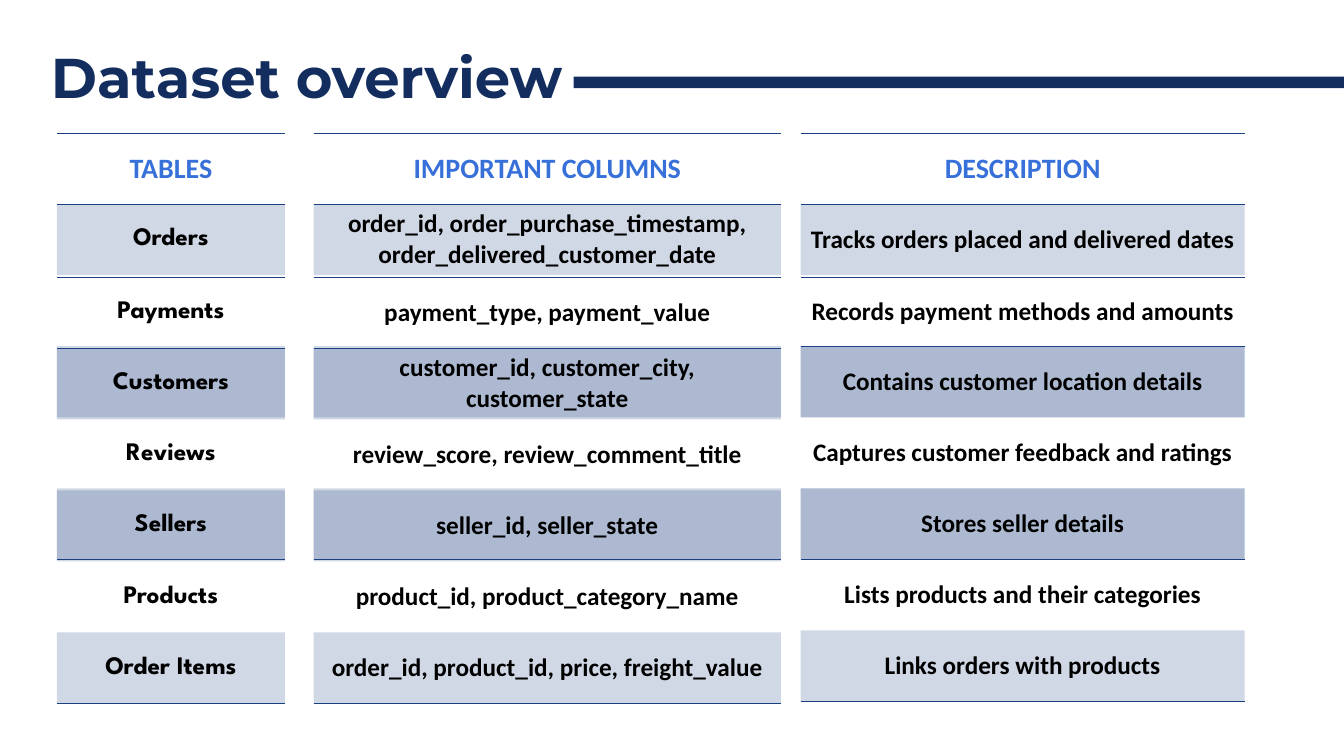
from lxml.etree import SubElement
from pptx import Presentation
from pptx.dml.color import RGBColor
from pptx.enum.shapes import MSO_SHAPE
from pptx.enum.text import MSO_ANCHOR, PP_ALIGN
from pptx.oxml.ns import qn
from pptx.util import Inches, Pt

NAVY, BLUE, RULE, BLACK = "122D5E", "3770D9", "1B4081", "000000"
NO_STYLE = "{2D5ABB26-0587-4C30-8999-92F81FD0307C}"
BAND_ALPHA = "20000"
ROWS = 6
ROW_HEIGHT = 1.41
UPPER_TOP, LOWER_TOP = 2.64, 5.5
UPPER_TEXTS = 2

headers = ("TABLES", "IMPORTANT COLUMNS", "DESCRIPTION")
records = [
    ("Orders", "order_id, order_purchase_timestamp, order_delivered_customer_date",
     "Tracks orders placed and delivered dates"),
    ("Payments", "payment_type, payment_value", "Records payment methods and amounts"),
    ("Customers", "customer_id, customer_city, customer_state", "Contains customer location details"),
    ("Reviews", "review_score, review_comment_title", "Captures customer feedback and ratings"),
    ("Sellers", "seller_id, seller_state", "Stores seller details"),
    ("Products", "product_id, product_category_name", "Lists products and their categories"),
    ("Order Items", "order_id, product_id, price, freight_value", "Links orders with products"),
]
layouts = [
    {"left": 1.13, "width": 4.52, "font": "League Spartan", "lower_first_row": ROW_HEIGHT},
    {"left": 6.22, "width": 9.27, "font": "Calibri", "lower_first_row": ROW_HEIGHT},
    {"left": 15.88, "width": 8.81, "font": "Calibri", "lower_first_row": 1.37},
]


def rgb(value):
    return RGBColor.from_string(value)


def add_border(cell, side):
    ln = SubElement(cell._tc.get_or_add_tcPr(), qn(f"a:{side}"), w=str(Pt(1)))
    fill = SubElement(ln, qn("a:solidFill"))
    SubElement(fill, qn("a:srgbClr"), val=RULE)


prs = Presentation()
prs.slide_width, prs.slide_height = Inches(26.66), Inches(15)
s = prs.slides.add_slide(prs.slide_layouts[6])

title = s.shapes.add_textbox(Inches(0.91), Inches(0.8), Inches(10.47), Inches(1.45))
title.text_frame.word_wrap = True
p = title.text_frame.paragraphs[0]
p.text = "Dataset overview"
p.font.name, p.font.size, p.font.bold = "Montserrat", Pt(80), True
p.font.color.rgb = rgb(NAVY)

bar = s.shapes.add_shape(MSO_SHAPE.RECTANGLE, Inches(11.38), Inches(1.52), Inches(15.28), Inches(0.23))
bar.shadow.inherit = False
bar.fill.solid()
bar.fill.fore_color.rgb = rgb(NAVY)
bar.line.fill.background()

for layout, header, entries in zip(layouts, headers, zip(*records)):
    texts = [header, *entries]
    upper = (UPPER_TOP, ROW_HEIGHT, texts[:UPPER_TEXTS])
    lower = (LOWER_TOP, layout["lower_first_row"], texts[UPPER_TEXTS:])

    for top, first_row, block_texts in (upper, lower):
        table = s.shapes.add_table(
            ROWS, 1, Inches(layout["left"]), Inches(top),
            Inches(layout["width"]), Inches(ROWS * ROW_HEIGHT)).table
        table.first_row = table.horz_banding = False
        table._tbl.tblPr.find(qn("a:tableStyleId")).text = NO_STYLE
        table.rows[0].height = Inches(first_row)

        for row in range(ROWS):
            cell = table.cell(row, 0)
            cell.vertical_anchor = MSO_ANCHOR.MIDDLE
            is_first, is_last, is_band = row == 0, row == ROWS - 1, row % 2 == 1
            if is_first:
                add_border(cell, "lnT")
            if is_first or is_last:
                add_border(cell, "lnB")
            if is_band:
                cell.fill.solid()
                cell.fill.fore_color.rgb = rgb(RULE)
                band_color = cell._tc.tcPr.find(qn("a:solidFill")).find(qn("a:srgbClr"))
                SubElement(band_color, qn("a:alpha"), val=BAND_ALPHA)
            else:
                cell.fill.background()

        for row, text in enumerate(block_texts):
            if text == header:
                font, size, color = "Calibri", 40, BLUE
            else:
                font, size, color = layout["font"], 36, BLACK
            p = table.cell(row, 0).text_frame.paragraphs[0]
            p.text = text
            p.alignment = PP_ALIGN.CENTER
            p.font.name, p.font.size, p.font.bold = font, Pt(size), True
            p.font.color.rgb = rgb(color)

prs.save("out.pptx")
